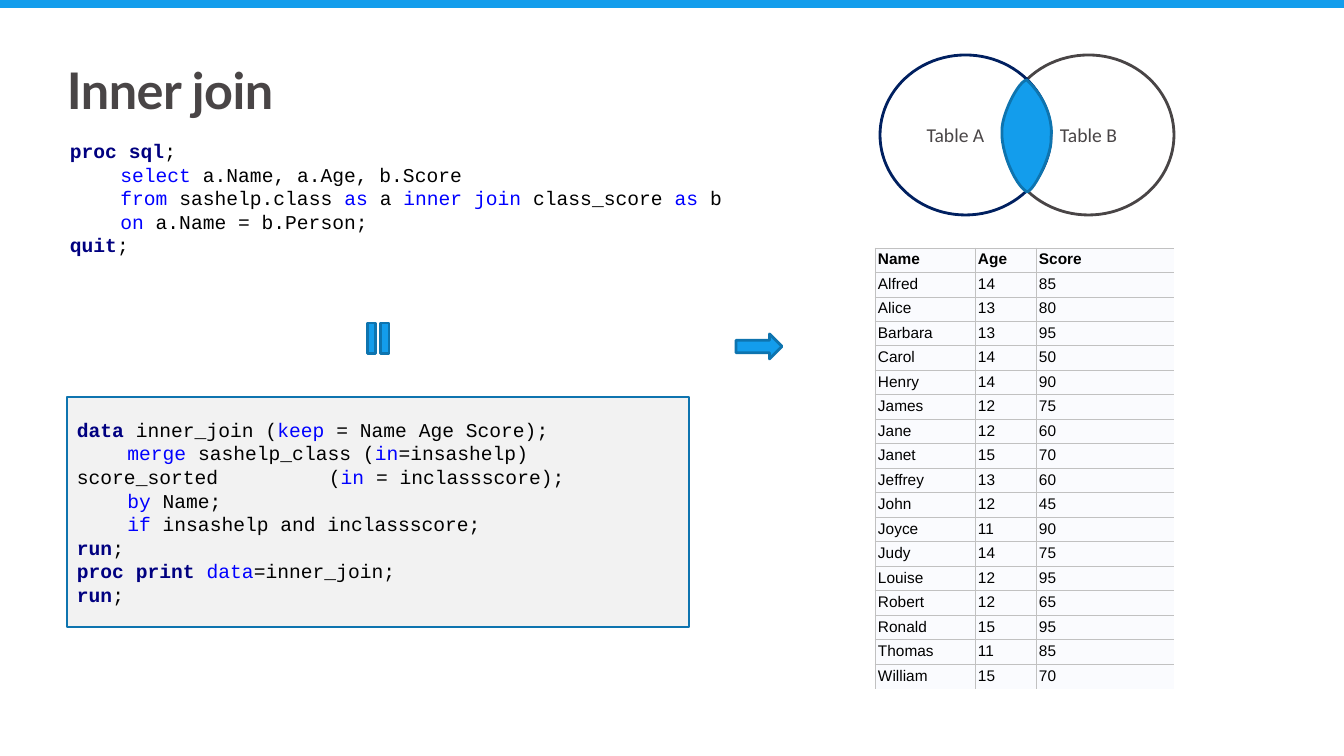
from dataclasses import dataclass
from typing import NamedTuple

from lxml.etree import SubElement
from pptx import Presentation
from pptx.dml.color import RGBColor
from pptx.enum.shapes import MSO_SHAPE as Preset
from pptx.enum.text import MSO_ANCHOR as Anchor, PP_ALIGN as Align
from pptx.oxml.ns import qn
from pptx.util import Pt

SCALE = 914400 / 100.8
SKY, SKY_EDGE, WHITE, SLATE = "139DEC", "0E74AF", "FFFFFF", "494546"
NAVY, BLUE, BLACK = "000080", "0000FF", "000000"
GRID, CELL = "C1C1C1", "FAFBFE"


class Box(NamedTuple):
    left: int
    top: int
    width: int
    height: int


class Piece(NamedTuple):
    text: str
    colour: str = BLACK
    bold: bool = False


@dataclass
class Figure:
    preset: Preset
    box: Box
    fill: str
    edge: str = ""
    rotation: int = 0


@dataclass
class Circle:
    label: str
    box: Box
    edge: str
    right_inset: int = 0
    opacity: int = 100


def px(pixels: float) -> int:
    return round(pixels * SCALE)


def emu(box: Box) -> list[int]:
    return [px(length) for length in box]


def rgb(colour: str) -> RGBColor:
    return RGBColor.from_string(colour)


def step(text: str) -> Piece:
    return Piece(text, NAVY, True)


def word(text: str) -> Piece:
    return Piece(text, BLUE)


def style(font, name: str, size: int, colour: str, bold: bool = False) -> None:
    font.name, font.size, font.bold = name, Pt(size), bold
    font.color.rgb = rgb(colour)


def paint(shape, fill: str, edge: str = "") -> None:
    shape.shadow.inherit = False
    shape.fill.solid()
    shape.fill.fore_color.rgb = rgb(fill)
    if edge:
        shape.line.color.rgb = rgb(edge)
        shape.line.width = Pt(2)
    else:
        shape.line.fill.background()


def draw_figure(shapes, figure: Figure):
    shape = shapes.add_shape(figure.preset, *emu(figure.box))
    shape.rotation = figure.rotation
    paint(shape, figure.fill, figure.edge)
    return shape


def draw_circle(shapes, circle: Circle) -> None:
    oval = draw_figure(shapes, Figure(Preset.OVAL, circle.box, WHITE, circle.edge))
    if circle.opacity < 100:
        tint = oval.fill._xPr.find(qn("a:solidFill"))[0]
        SubElement(tint, qn("a:alpha")).set("val", str(circle.opacity * 1000))
    frame = oval.text_frame
    frame.margin_left, frame.margin_right = 0, px(circle.right_inset)
    frame.vertical_anchor = Anchor.MIDDLE
    frame.text = circle.label
    label = frame.paragraphs[0]
    label.alignment = Align.CENTER
    style(label.runs[0].font, "Calibri", 14, SLATE)


def draw_overlap(shapes, start: tuple, curves: list[tuple], steps: int = 12) -> None:
    outline, here = [], start
    for first, second, end in curves:
        for index in range(1, steps + 1):
            t = index / steps
            weights = ((1 - t) ** 3, 3 * t * (1 - t) ** 2, 3 * t * t * (1 - t), t ** 3)
            corners = (here, first, second, end)
            outline.append(tuple(px(sum(w * c[axis] for w, c in zip(weights, corners)))
                                 for axis in (0, 1)))
        here = end
    builder = shapes.build_freeform(px(start[0]), px(start[1]))
    builder.add_line_segments(outline, close=True)
    paint(builder.convert_to_shape(), SKY, SKY_EDGE)


def write_code(frame, lines: list[list[Piece]]) -> None:
    frame.word_wrap = True
    for number, pieces in enumerate(lines):
        line = frame.add_paragraph() if number else frame.paragraphs[0]
        line.alignment = Align.LEFT
        stops = SubElement(line._p.get_or_add_pPr(), qn("a:tabLst"))
        for half_inches in range(1, 6):
            stop = SubElement(stops, qn("a:tab"))
            stop.set("pos", str(half_inches * 457200))
            stop.set("algn", "l")
        for piece in pieces:
            run = line.add_run()
            run.text = piece.text
            style(run.font, "Courier New", 14, piece.colour, piece.bold)


def border(cell, side: str, shown: bool) -> None:
    edge = SubElement(cell._tc.get_or_add_tcPr(), qn(f"a:ln{side}"))
    edge.set("w", str(Pt(0.75)))
    if shown:
        SubElement(SubElement(edge, qn("a:solidFill")), qn("a:srgbClr")).set("val", GRID)
    else:
        SubElement(edge, qn("a:noFill"))


def draw_scores(shapes, rows: list[tuple], box: Box, widths: list[int]) -> None:
    table = shapes.add_table(len(rows), len(widths), *emu(box)).table
    table.first_row = table.horz_banding = False
    for column, width in zip(table.columns, widths):
        column.width = px(width)
    for y, row in enumerate(rows):
        for x, value in enumerate(row):
            cell = table.cell(y, x)
            cell.margin_left = cell.margin_right = px(3)
            cell.margin_top = cell.margin_bottom = px(3)
            for side in "LRTB":
                open_side = (side == "R" and x == len(row) - 1) or (
                    side == "B" and y == len(rows) - 1)
                border(cell, side, not open_side)
            cell.fill.solid()
            cell.fill.fore_color.rgb = rgb(CELL)
            cell.text = str(value)
            style(cell.text_frame.paragraphs[0].runs[0].font, "Arial", 11, BLACK, y == 0)


SQL_STEP = [
    [step("proc sql"), Piece(";")],
    [word("\tselect "), Piece("a.Name, a.Age, b.Score")],
    [word("\tfrom "), Piece("sashelp.class "), word("as"), Piece(" a "),
     word("inner join "), Piece("class_score "), word("as"), Piece(" b")],
    [word("\ton "), Piece("a.Name = b.Person;")],
    [step("quit"), Piece(";")],
]
DATA_STEP = [
    [step("data "), Piece("inner_join ("), word("keep"), Piece(" = Name Age Score);")],
    [word("\tmerge "), Piece("sashelp_class ("), word("in"),
     Piece("=insashelp) score_sorted \t\t("), word("in"), Piece(" = inclassscore);")],
    [word("\tby"), Piece(" Name;")],
    [word("\tif "), Piece("insashelp and inclassscore;")],
    [step("run"), Piece(";")],
    [step("proc print "), word("data"), Piece("=inner_join;")],
    [step("run"), Piece(";")],
]
SCORES = [
    ("Name", "Age", "Score"), ("Alfred", 14, 85), ("Alice", 13, 80), ("Barbara", 13, 95),
    ("Carol", 14, 50), ("Henry", 14, 90), ("James", 12, 75), ("Jane", 12, 60),
    ("Janet", 15, 70), ("Jeffrey", 13, 60), ("John", 12, 45), ("Joyce", 11, 90),
    ("Judy", 14, 75), ("Louise", 12, 95), ("Robert", 12, 65), ("Ronald", 15, 95),
    ("Thomas", 11, 85), ("William", 15, 70),
]
CIRCLES = [
    Circle("Table B", Box(1003, 55, 171, 160), SLATE),
    Circle("Table A", Box(880, 55, 171, 160), "002060", 20, 50),
]
OVERLAP = [
    ((1001, 115), (1019, 80), (1027, 80)), ((1049, 101), (1053, 126), (1051, 138)),
    ((1053, 152), (1035, 190), (1027, 192)), ((1014, 184), (1001, 150), (1002, 132)),
]

deck = Presentation()
deck.slide_width, deck.slide_height = px(1344), px(756)
slide = deck.slides.add_slide(deck.slide_layouts[5])
shapes = slide.shapes

heading = shapes.title
heading.left, heading.top, heading.width, heading.height = emu(Box(67, 58, 1210, 63))
frame = heading.text_frame
frame.margin_left = frame.margin_right = frame.margin_top = frame.margin_bottom = 0
frame.vertical_anchor = Anchor.MIDDLE
frame.text = "Inner join"
frame.paragraphs[0].alignment = Align.LEFT
heading_font = frame.paragraphs[0].runs[0].font
style(heading_font, "Lato", 36, SLATE, True)
heading_font._rPr.set("spc", "-40")

draw_figure(shapes, Figure(Preset.RECTANGLE, Box(0, 0, 1344, 8), SKY))
write_code(shapes.add_textbox(*emu(Box(60, 134, 672, 129))).text_frame, SQL_STEP)
for circle in CIRCLES:
    draw_circle(shapes, circle)
draw_overlap(shapes, (1002, 132), OVERLAP)
data_panel = draw_figure(
    shapes, Figure(Preset.RECTANGLE, Box(67, 397, 622, 230), "F2F2F2", SKY_EDGE))
data_panel.text_frame.vertical_anchor = Anchor.MIDDLE
write_code(data_panel.text_frame, DATA_STEP)
draw_figure(shapes, Figure(Preset.MATH_EQUAL, Box(357, 320, 42, 37), SKY, SKY_EDGE, 90))
draw_figure(shapes, Figure(Preset.RIGHT_ARROW, Box(736, 334, 46, 25), SKY, SKY_EDGE))
draw_scores(shapes, SCORES, Box(875, 248, 299, 438), [100, 61, 138])

deck.save("out.pptx")
